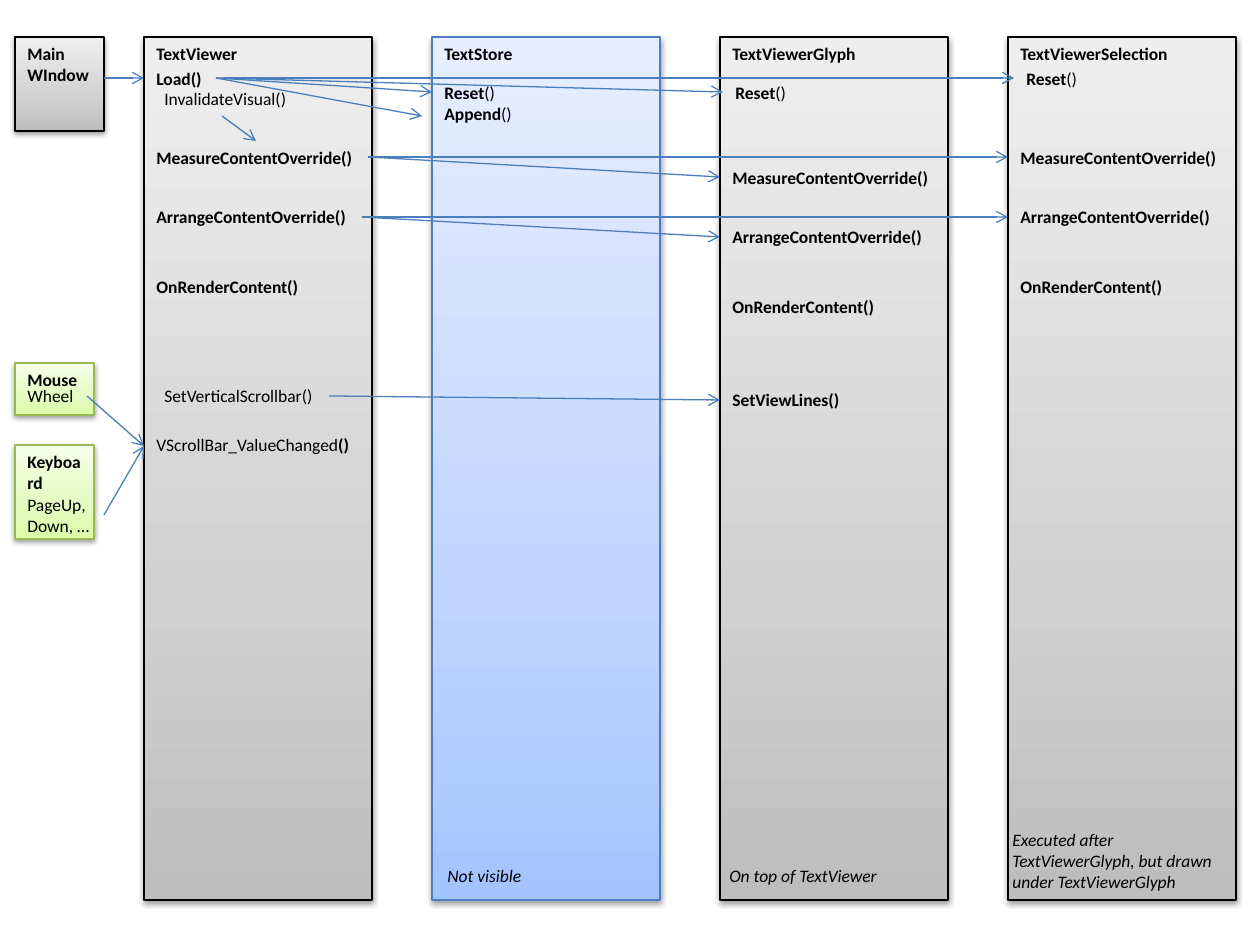
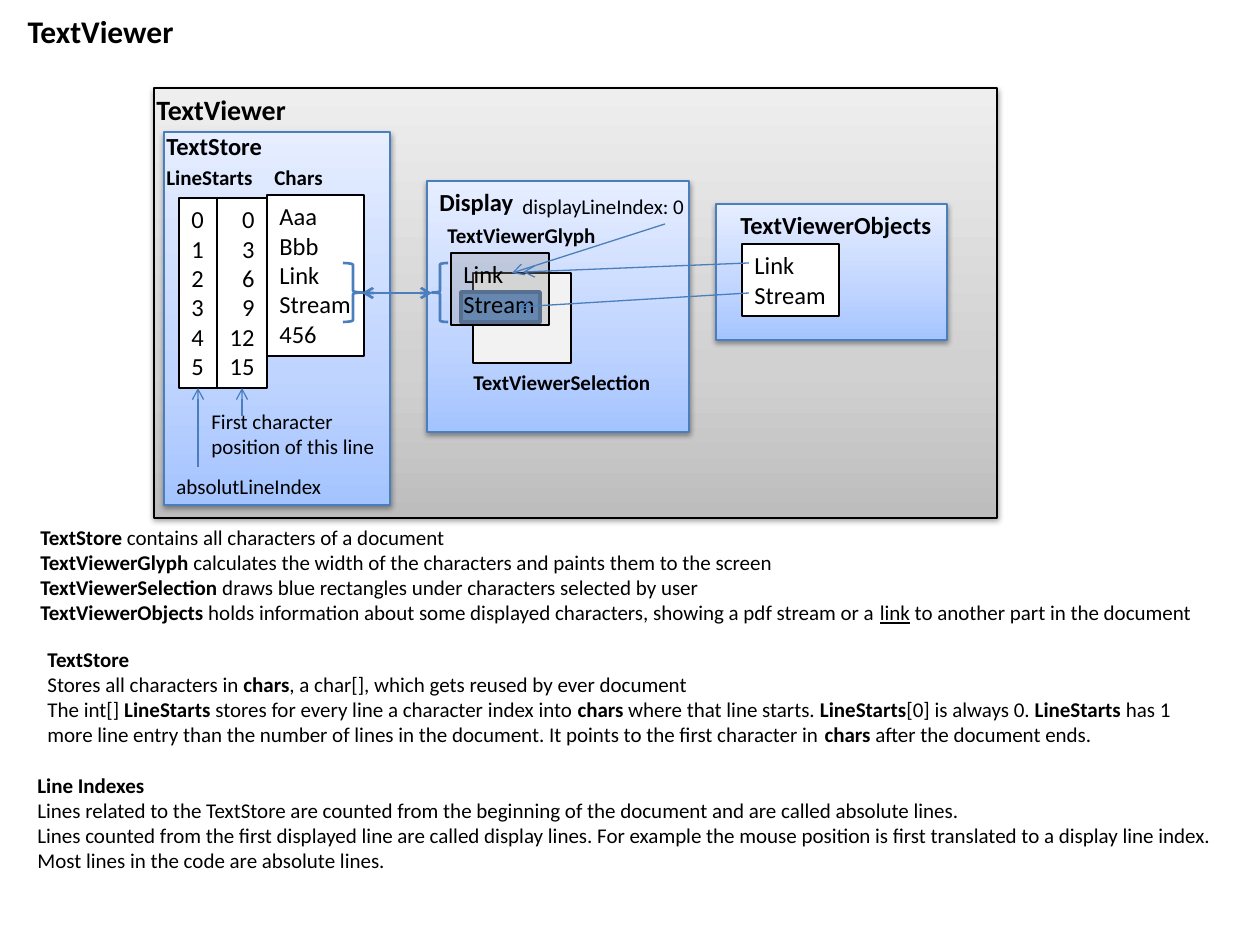
"""Build two slides on how a text viewer calls and holds its parts."""
from copy import deepcopy
from dataclasses import dataclass

from lxml.etree import SubElement
from pptx import Presentation
from pptx.dml.color import RGBColor
from pptx.enum.shapes import MSO_CONNECTOR, MSO_SHAPE
from pptx.enum.text import MSO_ANCHOR, MSO_AUTO_SIZE, PP_ALIGN
from pptx.oxml.ns import qn
from pptx.slide import Slide
from pptx.text.text import TextFrame
from pptx.util import Emu, Pt

SCALE = 914400 / 126
FONT = "Calibri"
HUES = {
    "black": "000000", "white": "FFFFFF", "pale": "F2F2F2", "mist": "969696",
    "blue": "4F81BD", "navy": "3A5F8C", "line": "4B7EBC", "leaf": "98B955",
}
FADES = {
    "gray": ("BDBDBD", "D1D1D1", "EEEEEE"),
    "sky": ("A4C4FF", "BFD4FF", "E6EEFF"),
    "lime": ("DAFDA7", "E4FCC2", "F5FFE7"),
}
STOPS = (0, 0.35, 1)


@dataclass(frozen=True)
class Style:
    """Fill, edge and opacity of a box."""
    fill: str
    edge: str = "black"
    width: float = 0.75
    alpha: int = 100


GRAY = Style("gray")
SKY = Style("sky", "line")
LIME = Style("lime", "leaf")
PAPER = Style("white")
FRAME = Style("white", width=1.5)


@dataclass(frozen=True)
class Box:
    """A filled rectangle, with text if given."""
    x: int
    y: int
    w: int
    h: int
    style: Style
    text: str = ""
    size: int = 10
    wrap: bool = True
    align: PP_ALIGN = PP_ALIGN.LEFT


@dataclass(frozen=True)
class Label:
    """Free text, in which |bars| mark bold and |_bars| underline."""
    x: int
    y: int
    w: int
    h: int
    text: str
    size: int = 10
    wrap: bool = False
    slant: bool = False


@dataclass(frozen=True)
class Arrow:
    """A straight arrow between two points."""
    x: int
    y: int
    to_x: int
    to_y: int
    width: float = 0.75
    both: bool = False


def px(*sizes: int) -> list[Emu]:
    """Turn pixels into EMU."""
    return [Emu(round(size * SCALE)) for size in sizes]


def hue(name: str) -> RGBColor:
    """Look up a named colour."""
    return RGBColor.from_string(HUES[name])


def write(frame: TextFrame, text: str, size: int, wrap: bool, grow: bool = True,
          slant: bool = False, align: PP_ALIGN = PP_ALIGN.LEFT) -> None:
    """Fill a frame with marked text and format its runs."""
    frame.text = text.replace("|", "")
    frame.word_wrap = wrap
    frame.auto_size = MSO_AUTO_SIZE.SHAPE_TO_FIT_TEXT if grow else MSO_AUTO_SIZE.NONE
    frame.vertical_anchor = MSO_ANCHOR.TOP
    for para, row in zip(frame.paragraphs, text.split("\n")):
        para.text = ""
        para.alignment = align
        for i, part in enumerate(row.split("|")):
            if not part:
                continue
            run = para.add_run()
            under = i % 2 == 1 and part.startswith("_")
            run.text = part[1:] if under else part
            font = run.font
            font.name, font.size = FONT, Pt(size)
            font.bold, font.italic, font.underline = i % 2 == 1 and not under, slant, under
            font.color.rgb = hue("black")


def draw_box(slide: Slide, box: Box) -> None:
    """Draw a flat box, or a faded one with a shadow."""
    shape = slide.shapes.add_shape(MSO_SHAPE.RECTANGLE, *px(box.x, box.y, box.w, box.h))
    style, fill, props = box.style, shape.fill, shape.element.spPr
    shape.line.color.rgb = hue(style.edge)
    shape.line.width = Pt(style.width)
    shape.shadow.inherit = False
    if style.fill in FADES:
        fill.gradient()
        fill.gradient_angle = 90
        stops = props.find(".//" + qn("a:gsLst"))
        stops.insert(1, deepcopy(stops[0]))
        for stop, place, tint in zip(fill.gradient_stops, STOPS, FADES[style.fill]):
            stop.position = place
            stop.color.rgb = RGBColor.from_string(tint)
        shade = SubElement(props.find(qn("a:effectLst")), qn("a:outerShdw"),
                           blurRad="40000", dist="20000", dir="5400000", rotWithShape="0")
        black = SubElement(shade, qn("a:srgbClr"), val=HUES["black"])
        SubElement(black, qn("a:alpha"), val="38000")
    else:
        fill.solid()
        fill.fore_color.rgb = hue(style.fill)
        if style.alpha < 100:
            tint = props.find(qn("a:solidFill")).find(qn("a:srgbClr"))
            SubElement(tint, qn("a:alpha"), val=str(style.alpha * 1000))
    if box.text:
        write(shape.text_frame, box.text, box.size, box.wrap, not box.wrap, align=box.align)


def draw_label(slide: Slide, label: Label) -> None:
    """Draw free text."""
    shape = slide.shapes.add_textbox(*px(label.x, label.y, label.w, label.h))
    write(shape.text_frame, label.text, label.size, label.wrap, slant=label.slant)


def draw_arrow(slide: Slide, arrow: Arrow) -> None:
    """Draw a line with an open head at one or both ends."""
    line = slide.shapes.add_connector(
        MSO_CONNECTOR.STRAIGHT, *px(arrow.x, arrow.y, arrow.to_x, arrow.to_y))
    line.line.color.rgb = hue("line")
    line.line.width = Pt(arrow.width)
    props = line.element.spPr
    for end in ("headEnd", "tailEnd") if arrow.both else ("tailEnd",):
        SubElement(props.find(qn("a:ln")), qn("a:" + end), type="arrow")
    SubElement(props, qn("a:effectLst"))


def draw_brace(slide: Slide, kind: MSO_SHAPE, x: int, w: int) -> None:
    """Draw a brace beside the displayed lines."""
    brace = slide.shapes.add_shape(kind, *px(x, 263, w, 59))
    brace.fill.background()
    brace.line.color.rgb = hue("line")
    brace.line.width = Pt(1.5)
    brace.shadow.inherit = False


def draw_all(slide: Slide, boxes: list[Box], labels: list[Label], arrows: list[Arrow]) -> None:
    """Draw boxes, then labels, then arrows."""
    for box in boxes:
        draw_box(slide, box)
    for label in labels:
        draw_label(slide, label)
    for arrow in arrows:
        draw_arrow(slide, arrow)


def add_calls(deck: Presentation) -> None:
    """Add the slide of calls between the classes."""
    slide = deck.slides.add_slide(deck.slide_layouts[6])
    view, store, glyph, pick = cols = [144 + 288 * i for i in range(4)]
    names = ("TextViewer", "TextStore", "TextViewerGlyph", "TextViewerSelection")
    boxes = [Box(x, 37, 228, 863, SKY if x == store else GRAY, f"|{name}|")
             for x, name in zip(cols, names)]
    boxes += [
        Box(15, 37, 89, 94, GRAY, "|Main WIndow|"),
        Box(15, 363, 79, 52, LIME, "|Mouse|"),
        Box(15, 445, 79, 94, LIME, "|Keyboard|"),
    ]
    labels = [
        Label(view, 62, 72, 34, "|Load()|"),
        Label(view + 8, 82, 149, 34, "InvalidateVisual()"),
        Label(store, 97, 93, 34, "|Append|()"),
        Label(view + 8, 379, 177, 34, "SetVerticalScrollbar()"),
        Label(view, 428, 222, 34, "VScrollBar_ValueChanged|()|"),
        Label(glyph, 383, 134, 34, "|SetViewLines()|"),
        Label(15, 379, 72, 34, "Wheel"),
        Label(15, 488, 89, 55, "PageUp,\nDown, …"),
        Label(435, 859, 101, 34, "Not visible", slant=True),
        Label(717, 859, 176, 34, "On top of TextViewer", slant=True),
        Label(1000, 823, 234, 77, "Executed after TextViewerGlyph, but drawn under TextViewerGlyph",
              wrap=True, slant=True),
    ]
    labels += [Label(x, y, 77, 34, "|Reset|()") for x, y in ((store, 76), (723, 76), (1014, 62))]
    for name, w, y in (("MeasureContentOverride", 224, 141),
                       ("ArrangeContentOverride", 218, 200), ("OnRenderContent", 170, 270)):
        labels += [Label(x, y + drop, w, 34, f"|{name}()|")
                   for x, drop in ((view, 0), (glyph, 20), (pick, 0))]
    arrows = [
        Arrow(104, 78, view, 78), Arrow(223, 78, 1014, 78),
        Arrow(222, 116, 256, 141), Arrow(329, 396, glyph, 400),
        Arrow(87, 396, view, 446), Arrow(104, 515, view, 446),
    ]
    arrows += [Arrow(216, 78, x, y) for x, y in ((store, 92), (723, 92), (422, 116))]
    for x, y in ((368, 157), (362, 217)):
        arrows += [Arrow(x, y, glyph, y + 20), Arrow(x, y, pick, y)]
    draw_all(slide, boxes, labels, arrows)


def add_parts(deck: Presentation) -> None:
    """Add the slide of the viewer's parts and their data."""
    slide = deck.slides.add_slide(deck.slide_layouts[5])
    title = slide.shapes.title
    title.left, title.top, title.width, title.height = px(15, 6, 1062, 50)
    write(title.text_frame, "|TextViewer|", 18, True)
    boxes = [
        Box(154, 88, 843, 430, GRAY),
        Box(164, 132, 226, 373, SKY),
        Box(427, 181, 262, 251, SKY),
        Box(716, 204, 231, 136, SKY),
        Box(473, 273, 98, 90, Style("pale")),
        Box(461, 292, 79, 30, Style("blue", "navy", 2)),
        Box(451, 253, 98, 72, Style("mist", alpha=32), "Link\nStream", 14, False),
        Box(217, 198, 50, 190, PAPER, "0\n3\n6\n9\n12\n15", 14, False, PP_ALIGN.RIGHT),
        Box(179, 198, 38, 190, PAPER, "0\n1\n2\n3\n4\n5", 14, False),
        Box(267, 195, 97, 161, FRAME, "Aaa\nBbb\nLink\nStream\n456", 14, False),
        Box(742, 244, 97, 72, FRAME, "Link\nStream", 14, False),
    ]
    labels = [
        Label(144, 86, 156, 47, "|TextViewer|", 16),
        Label(154, 125, 121, 43, "|TextStore|", 14),
        Label(427, 181, 100, 43, "|Display|", 14),
        Label(728, 204, 218, 43, "|TextViewerObjects|", 14),
        Label(154, 158, 112, 38, "|LineStarts|", 12),
        Label(262, 158, 74, 38, "|Chars|", 12),
        Label(435, 216, 175, 38, "|TextViewerGlyph|", 12),
        Label(461, 363, 204, 38, "|TextViewerSelection|", 12),
        Label(510, 187, 189, 38, "displayLineIndex: 0", 12),
        Label(164, 467, 171, 38, "absolutLineIndex", 12),
        Label(199, 402, 190, 63, "First character\nposition of this line", 12),
        Label(28, 518, 1198, 115,
              "|TextStore| contains all characters of a document\n"
              "|TextViewerGlyph| calculates the width of the characters and paints them to the screen\n"
              "|TextViewerSelection| draws blue rectangles under characters selected by user\n"
              "|TextViewerObjects| holds information about some displayed characters, showing a pdf "
              "stream or a |_link| to another part in the document", 12, True),
        Label(35, 640, 1191, 140,
              "|TextStore|\n"
              "Stores all characters in |chars|, a char[], which gets reused by ever document\n"
              "The int[] |LineStarts| stores for every line a character index into |chars| where that "
              "line starts. |LineStarts|[0] is always 0. |LineStarts |has 1 more line entry than the "
              "number of lines in the document. It points to the first character in |chars| after "
              "the document ends.", 12, True),
        Label(25, 766, 1221, 140,
              "|Line Indexes|\n"
              "Lines related to the TextStore are counted from the beginning of the document and are "
              "called absolute lines.\n"
              "Lines counted from the first displayed line are called display lines. For example the "
              "mouse position is first translated to a display line index.\n"
              "Most lines in the code are absolute lines.", 12, True),
    ]
    arrows = [
        Arrow(198, 467, 198, 388), Arrow(242, 416, 242, 388),
        Arrow(665, 224, 512, 273), Arrow(362, 293, 432, 293, 1.5, True),
        Arrow(749, 263, 523, 272), Arrow(749, 293, 518, 307),
    ]
    draw_all(slide, boxes, labels, arrows)
    draw_brace(slide, MSO_SHAPE.LEFT_BRACE, 432, 16)
    draw_brace(slide, MSO_SHAPE.RIGHT_BRACE, 343, 20)


def main() -> None:
    """Build and save the deck."""
    deck = Presentation()
    deck.slide_width, deck.slide_height = px(1260, 945)
    add_calls(deck)
    add_parts(deck)
    deck.save("out.pptx")


main()
